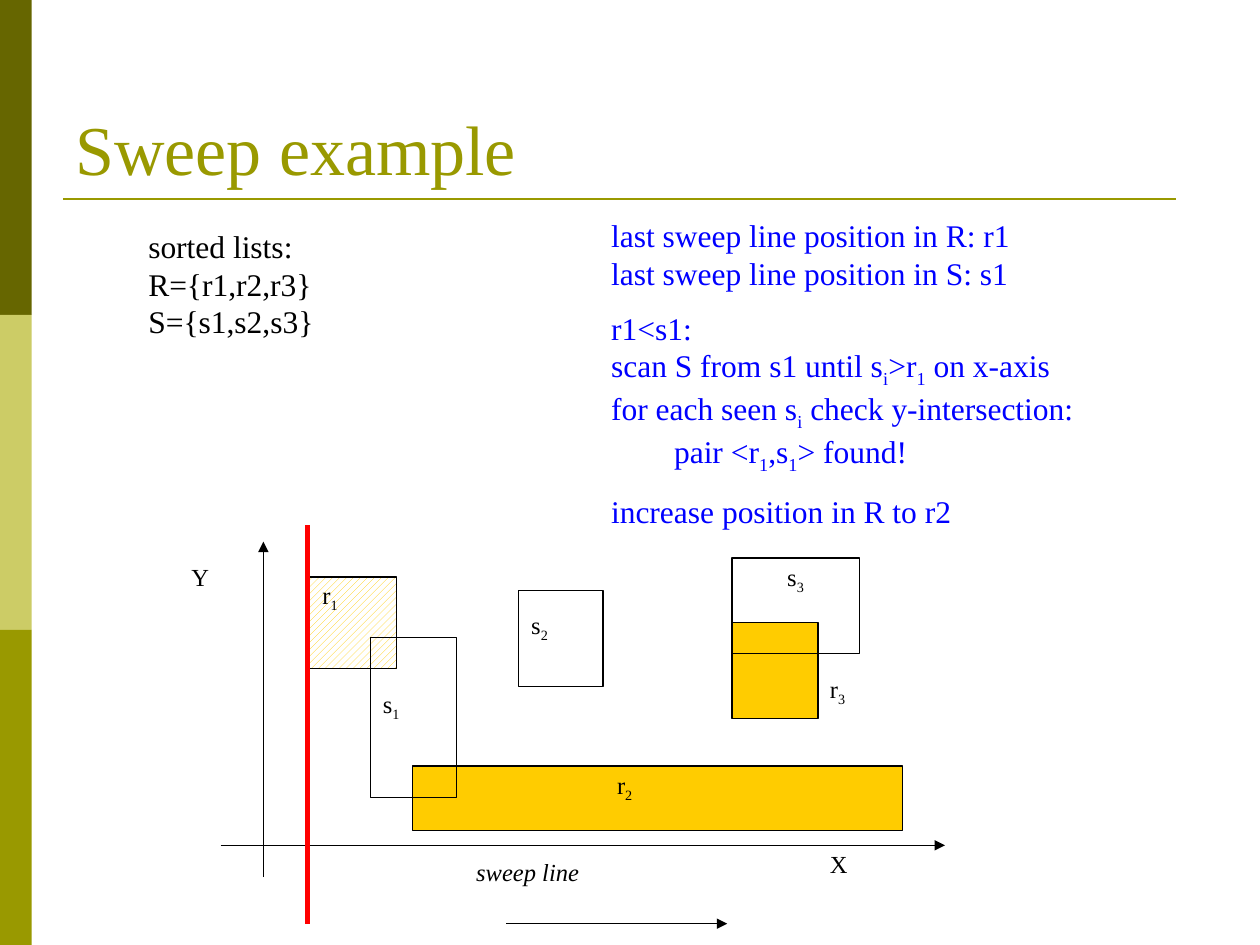
from pptx import Presentation
from pptx.dml.color import RGBColor
from pptx.enum.dml import MSO_PATTERN as Pattern
from pptx.enum.shapes import MSO_CONNECTOR as Link, MSO_SHAPE as Shape
from pptx.enum.text import MSO_ANCHOR as Anchor
from pptx.oxml.ns import qn
from pptx.util import Cm, Pt
from lxml.etree import SubElement

FONT = "Times New Roman"
BLACK, BLUE, RED = "000000", "0000FF", "FF0000"
OLIVE, GOLD, WHITE = "999900", "FFCC00", "FFFFFF"

# Content: an underscore lowers the character after it; lengths in cm
BARS = ["666600", "CCCC66", OLIVE]
TITLE = ["Sweep example"]
LISTS = ["sorted lists:", "R={r1,r2,r3}", "S={s1,s2,s3}"]
STEPS = [
    "last sweep line position in R: r1\nlast sweep line position in S: s1",
    "r1<s1:\nscan S from s1 until s_i>r_1 on x-axis\n"
    "for each seen s_i check y-intersection:\n\tpair <r_1,s_1> found!",
    "increase position in R to r2",
]
# Left, top, width, height, fill
RECTS = [
    (6.17, 11.63, 1.83, 1.85, "hatch"),   # r1
    (8.31, 15.44, 9.88, 1.3, GOLD),       # r2
    (10.46, 11.91, 1.7, 1.93, None),      # s2
    (14.76, 12.55, 1.73, 1.93, GOLD),     # r3
    (14.76, 11.25, 2.57, 1.93, None),     # s3
    (7.47, 12.85, 1.73, 3.23, None),      # s1
]
LABELS = [
    ("r_1", 6.25, 11.56), ("s_1", 7.47, 13.77), ("r_2", 12.19, 15.39),
    ("s_2", 10.46, 12.17), ("r_3", 16.48, 13.46), ("s_3", 15.62, 11.2),
    ("Y", 3.61, 11.2), ("X", 16.48, 16.99),
]
ARROWS = [
    (4.45, 17.04, 19.05, 17.04),    # x axis
    (5.31, 17.68, 5.31, 10.92),     # y axis
    (10.21, 18.62, 14.66, 18.62),   # sweep direction
]

deck = Presentation()
deck.slide_width, deck.slide_height = Cm(25.4), Cm(19.05)
slide = deck.slides.add_slide(deck.slide_layouts[6])
shapes = slide.shapes


def paint(text):
    return RGBColor.from_string(text)


def add_rect(x, y, w, h, fill, edge=None):
    rect = shapes.add_shape(Shape.RECTANGLE, Cm(x), Cm(y), Cm(w), Cm(h))
    rect.shadow.inherit = False
    if fill == "hatch":
        rect.fill.patterned()
        rect.fill.pattern = Pattern.WIDE_UPWARD_DIAGONAL
        rect.fill.fore_color.rgb = paint(GOLD)
        rect.fill.back_color.rgb = paint(WHITE)
    elif fill:
        rect.fill.solid()
        rect.fill.fore_color.rgb = paint(fill)
    else:
        rect.fill.background()
    if edge:
        rect.line.color.rgb = paint(edge)
        rect.line.width = Pt(0.75)
    else:
        rect.line.fill.background()


def add_line(x1, y1, x2, y2, color=BLACK, width=0.75, arrow=False):
    line = shapes.add_connector(Link.STRAIGHT, Cm(x1), Cm(y1), Cm(x2), Cm(y2))
    line.line.color.rgb = paint(color)
    line.line.width = Pt(width)
    if arrow:
        SubElement(line.line._get_or_add_ln(), qn("a:tailEnd"), type="triangle")
    SubElement(line._element.spPr, qn("a:effectLst"))


def add_runs(para, line):
    first, *rest = line.split("_")
    if first:
        para.add_run().text = first
    for part in rest:
        low = para.add_run()
        low.text = part[0]
        low._r.get_or_add_rPr().set("baseline", "-25000")
        if part[1:]:
            para.add_run().text = part[1:]


def add_text(paras, x, y, w, h, size, color=BLACK, gap=0, wrap=True, italic=False):
    frame = shapes.add_textbox(Cm(x), Cm(y), Cm(w), Cm(h)).text_frame
    frame.word_wrap = wrap
    for i, text in enumerate(paras):
        para = frame.add_paragraph() if i else frame.paragraphs[0]
        if i and gap:
            para.space_before = Pt(gap)
        font = para.font
        font.name, font.size, font.italic = FONT, Pt(size), italic
        font.color.rgb = paint(color)
        for n, line in enumerate(text.split("\n")):
            if n:
                para.add_line_break()
            add_runs(para, line)
    return frame


# Side bars and title rule
tall = 19.05 / len(BARS)
for i, color in enumerate(BARS):
    add_rect(0, i * tall, 0.64, tall, color)
add_line(1.27, 4.01, 23.7, 4.01, OLIVE, 1.5)

# Text blocks
add_text(STEPS, 12.07, 4.24, 12.7, 8.66, 18, BLUE, gap=9.4)
head = add_text(TITLE, 1.27, 0.76, 22.86, 3.18, 40, OLIVE)
head.vertical_anchor = Anchor.BOTTOM
add_text(LISTS, 2.74, 4.45, 11, 2.54, 18)

# Diagram
for ends in ARROWS:
    add_line(*ends, arrow=True)
for rect in RECTS:
    add_rect(*rect, edge=BLACK)
for text, x, y in LABELS:
    add_text([text], x, y, 0.84, 0.84, 14, wrap=False)
add_text(["sweep line"], 9.35, 17.15, 2.59, 0.84, 14, wrap=False, italic=True)
add_line(6.2, 10.59, 6.2, 18.62, RED, 3)

deck.save("out.pptx")
